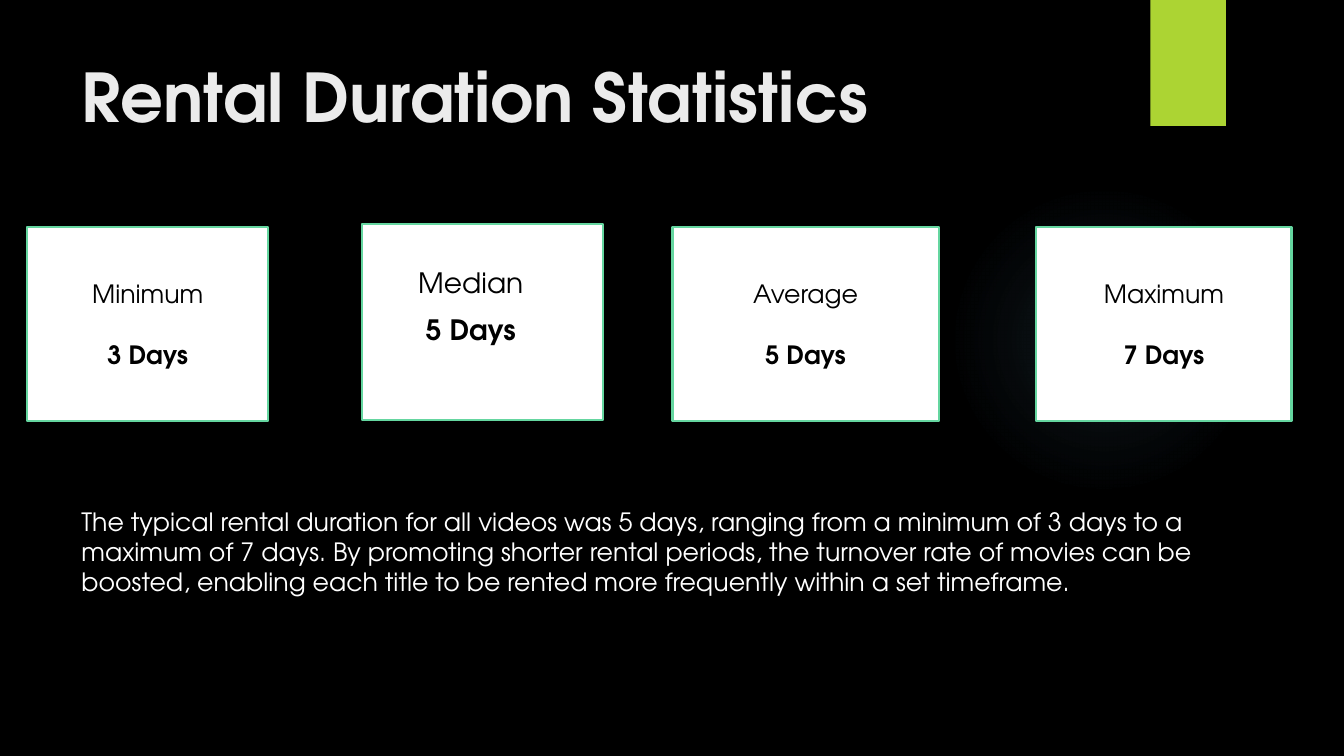
from dataclasses import dataclass

from lxml.etree import SubElement as Sub
from pptx import Presentation
from pptx.dml.color import RGBColor as RGB
from pptx.enum.shapes import MSO_SHAPE as Shape
from pptx.enum.text import MSO_ANCHOR as Anchor, PP_ALIGN as Align
from pptx.oxml.ns import qn
from pptx.util import Inches, Pt


@dataclass(frozen=True)
class Theme:
    font: str = "TeX Gyre Adventor"
    back: str = "000000"
    dark: str = "000000"
    light: str = "FFFFFF"
    head: str = "EBEBEB"
    edge: str = "65D6A0"
    tab: str = "ACD433"
    glow: str = "7AC4F0"
    title: int = 48
    large: int = 20
    body: int = 18


THEME = Theme()


def write(para, text, size=THEME.body, color=THEME.light, bold=False,
          align=Align.LEFT, gap=0):
    para.alignment = align
    para.space_before = Pt(gap)
    run = para.add_run()
    run.text = text
    font = run.font
    font.name = THEME.font
    font.size = Pt(size)
    font.bold = bold
    font.color.rgb = RGB.from_string(color)


def add_label(slide, box, text, **style):
    frame = slide.shapes.add_textbox(*map(Inches, box)).text_frame
    frame.word_wrap = True
    write(frame.paragraphs[0], text, **style)


def add_block(slide, box, fill, line=None, kind=Shape.RECTANGLE):
    block = slide.shapes.add_shape(kind, *map(Inches, box))
    block.shadow.inherit = False
    block.fill.solid()
    block.fill.fore_color.rgb = RGB.from_string(fill)
    if line:
        block.line.color.rgb = RGB.from_string(line)
        block.line.width = Pt(1.5)
    else:
        block.line.fill.background()
    return block


def add_card(slide, box, name, value, size=THEME.body, gap=21.6,
             right=0.1, bottom=0.05):
    frame = add_block(slide, box, THEME.light, THEME.edge).text_frame
    frame.word_wrap = True
    frame.vertical_anchor = Anchor.MIDDLE
    frame.margin_right = Inches(right)
    frame.margin_bottom = Inches(bottom)
    style = dict(size=size, color=THEME.dark, align=Align.CENTER)
    write(frame.paragraphs[0], name, **style)
    write(frame.add_paragraph(), value, bold=True, gap=gap, **style)


def add_glow(slide, box, stops):
    glow = add_block(slide, box, THEME.glow, kind=Shape.OVAL)
    props = glow.fill._xPr
    old = props.find(qn("a:solidFill"))
    grad = props.makeelement(qn("a:gradFill"), {"rotWithShape": "1"})
    props.replace(old, grad)
    ramp = Sub(grad, qn("a:gsLst"))
    for place, alpha in stops:
        stop = Sub(ramp, qn("a:gs"), pos=str(place * 1000))
        tint = Sub(stop, qn("a:srgbClr"), val=THEME.glow)
        Sub(tint, qn("a:alpha"), val=str(alpha * 1000))
    shade = Sub(grad, qn("a:path"))
    shade.set("path", "circle")
    Sub(shade, qn("a:fillToRect"), l="50000", t="50000", r="50000", b="50000")


def main():
    deck = Presentation()
    deck.slide_width, deck.slide_height = Inches(13.33), Inches(7.5)
    slide = deck.slides.add_slide(deck.slide_layouts[6])
    back = slide.background.fill
    back.solid()
    back.fore_color.rgb = RGB.from_string(THEME.back)

    add_glow(slide, (9.41, 1.83, 3.08, 3.08), [(0, 7), (36, 6), (69, 0), (100, 0)])
    add_block(slide, (11.41, 0, 0.75, 1.25), THEME.tab)
    add_label(slide, (0.71, 0.5, 10.29, 1.53), "Rental Duration Statistics",
              size=THEME.title, color=THEME.head, bold=True)

    for left, width, name, value in [
        (0.27, 2.39, "Minimum", "3 Days"),
        (6.67, 2.64, "Average", "5 Days"),
        (10.28, 2.53, "Maximum", "7 Days"),
    ]:
        add_card(slide, (left, 2.25, width, 1.93), name, value)
    add_card(slide, (3.59, 2.22, 2.39, 1.95), "Median", "5 Days",
             size=THEME.large, gap=10, right=0.33, bottom=0.37)

    add_label(slide, (0.71, 4.97, 11.97, 1.01),
              "The typical rental duration for all videos was 5 days, ranging "
              "from a minimum of 3 days to a maximum of 7 days. By promoting "
              "shorter rental periods, the turnover rate of movies can be "
              "boosted, enabling each title to be rented more frequently "
              "within a set timeframe.")
    deck.save("out.pptx")


if __name__ == "__main__":
    main()
